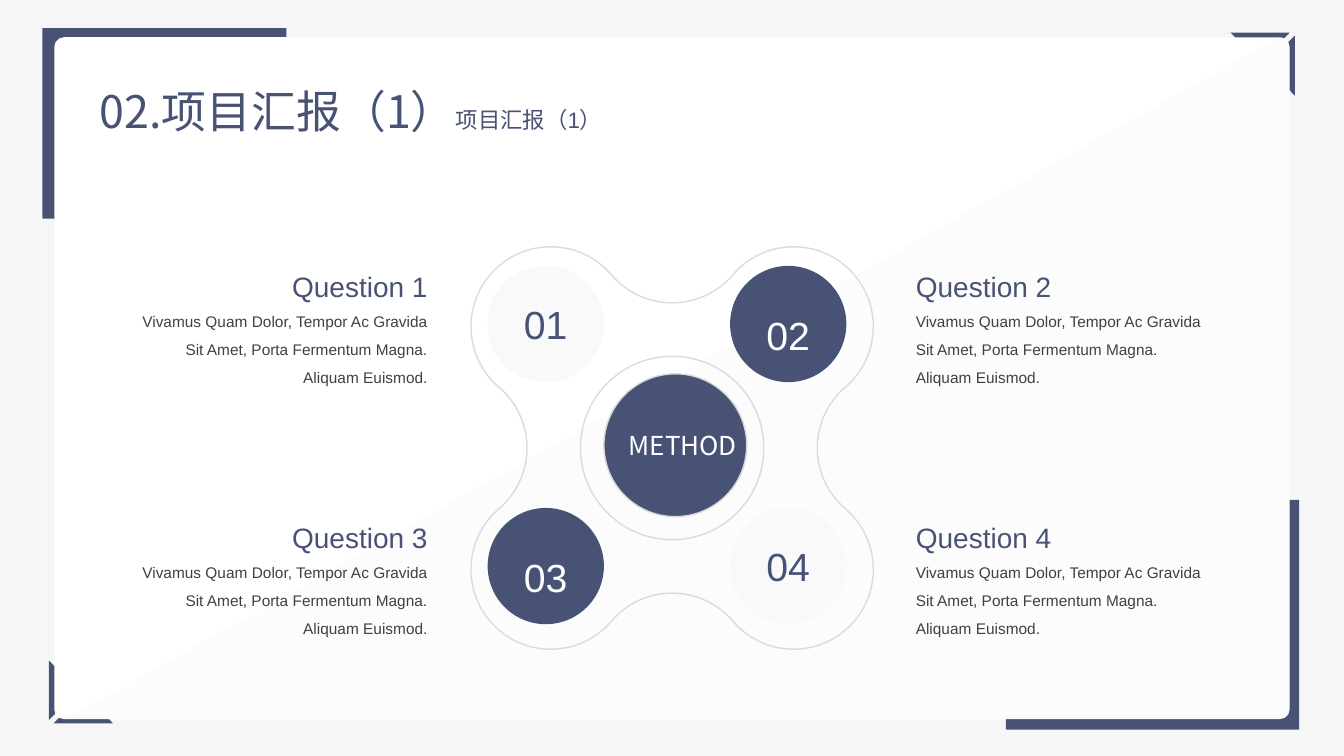
from itertools import pairwise
from math import atan2, cos, degrees, radians, sin, sqrt, tan

from lxml.etree import SubElement
from pptx import Presentation
from pptx.dml.color import RGBColor
from pptx.enum.shapes import MSO_SHAPE
from pptx.enum.text import MSO_ANCHOR, MSO_AUTO_SIZE, PP_ALIGN
from pptx.oxml.ns import qn
from pptx.util import Cm, Pt

NAVY, WHITE, PALE, GREY = "485275", "FFFFFF", "F9F9F9", "404040"
SANS, CJK = "Arial", "Noto Sans CJK SC"
BODY = ("Vivamus Quam Dolor, Tempor Ac Gravida Sit Amet, "
        "Porta Fermentum Magna. Aliquam Euismod.")


def color(value):
    return RGBColor.from_string(value)


def write(paragraph, text, size=11, font=SANS, fill=NAVY, align=None, spacing=None):
    """Add one formatted run to the paragraph."""
    run = paragraph.add_run()
    run.text = text
    run.font.size = Pt(size)
    run.font.name = font
    run.font.color.rgb = color(fill)
    SubElement(run.font._element, qn("a:ea")).set("typeface", CJK)
    if align is not None:
        paragraph.alignment = align
    if spacing:
        paragraph.line_spacing = spacing


def lines(*points):
    """Steps of one point each, the form in which an outline takes lines."""
    return [[point] for point in points]


def arc(center_x, center_y, radius, *angles):
    """Curve steps of three points between the angles, clockwise from the right."""
    steps = []
    for start, end in pairwise(map(radians, angles)):
        handle = 4 / 3 * tan((end - start) / 4)
        unit = [
            (cos(start) - handle * sin(start), sin(start) + handle * cos(start)),
            (cos(end) + handle * sin(end), sin(end) - handle * cos(end)),
            (cos(end), sin(end)),
        ]
        steps.append([(center_x + radius * x, center_y + radius * y) for x, y in unit])
    return steps


def clover(center_x, center_y, offset, radius):
    """Outline of four lobes joined by hollows of the same radius."""
    rise = sqrt(4 * radius ** 2 - offset ** 2)
    joint = degrees(atan2(rise, offset))
    steps = []
    for turn in range(0, 360, 90):
        lobe, hollow = radians(225 + turn), radians(270 + turn)
        reach = offset * sqrt(2)
        steps += arc(center_x + reach * cos(lobe), center_y + reach * sin(lobe), radius,
                     90 + joint + turn, 180 + turn, 270 + turn, 360 - joint + turn)
        reach = offset + rise
        steps += arc(center_x + reach * cos(hollow), center_y + reach * sin(hollow), radius,
                     180 - joint + turn, 90 + turn, joint + turn)
    return [steps[-1][-1:]] + steps


class SlideBuilder:
    def __init__(self, slide, background):
        self.slide = slide
        slide.background.fill.solid()
        slide.background.fill.fore_color.rgb = color(background)

    def style(self, shape, fill=None, line=None, opacity=None):
        shape.shadow.inherit = False
        if fill:
            shape.fill.solid()
            shape.fill.fore_color.rgb = color(fill)
        else:
            shape.fill.background()
        if line:
            shape.line.color.rgb = color(line)
            shape.line.width = Pt(1)
        else:
            shape.line.fill.background()
        if opacity:
            tint = shape._element.spPr.find(".//" + qn("a:srgbClr"))
            SubElement(tint, qn("a:alpha")).set("val", str(opacity * 1000))
        return shape

    def shape(self, kind, left, top, width, height, **style):
        shape = self.slide.shapes.add_shape(kind, Cm(left), Cm(top), Cm(width), Cm(height))
        return self.style(shape, **style)

    def outline(self, *contours, **style):
        """Draw closed contours as one shape; steps of three points become curves."""
        builder = None
        for contour in contours:
            points = [(Cm(x), Cm(y)) for step in contour for x, y in step]
            if builder is None:
                builder = self.slide.shapes.build_freeform(*points[0])
            else:
                builder.move_to(*points[0])
            builder.add_line_segments(points[1:], close=True)
        shape = builder.convert_to_shape()
        segments = iter(list(shape._element.iter(qn("a:lnTo"))))
        for step in (step for contour in contours for step in contour[1:]):
            segment = next(segments)
            if len(step) == 3:
                segment.tag = qn("a:cubicBezTo")
                for extra in (next(segments), next(segments)):
                    segment.append(extra[0])
                    extra.getparent().remove(extra)
        return self.style(shape, **style)

    def text_box(self, left, top, width, height, wrap=True):
        box = self.slide.shapes.add_textbox(Cm(left), Cm(top), Cm(width), Cm(height))
        box.text_frame.word_wrap = wrap
        box.text_frame.auto_size = MSO_AUTO_SIZE.SHAPE_TO_FIT_TEXT
        return box.text_frame

    def number(self, text, left, top, dark):
        circle = self.shape(MSO_SHAPE.OVAL, left, top, 2.93, 2.93, fill=NAVY if dark else PALE)
        frame = circle.text_frame
        frame.vertical_anchor = MSO_ANCHOR.TOP if dark else MSO_ANCHOR.MIDDLE
        write(frame.paragraphs[0], text, size=28, fill=WHITE if dark else NAVY,
              align=PP_ALIGN.CENTER, spacing=1.5 if dark else None)

    def question(self, title, left, top, align):
        frame = self.text_box(left, top, 7.95, 3.66)
        write(frame.paragraphs[0], title, size=20, align=align, spacing=1.5)
        write(frame.add_paragraph(), BODY, fill=GREY, align=align, spacing=1.5)


def draw_frame(builder):
    builder.shape(MSO_SHAPE.RECTANGLE, 1.07, 0.71, 6.15, 4.8, fill=NAVY).rotation = 180
    builder.shape(MSO_SHAPE.RECTANGLE, 25.35, 12.6, 7.39, 5.79, fill=NAVY)
    bracket = [
        [(1.6, 17.02), (1.6, 17.78), (1.23, 18.15), (1.23, 16.64)],
        [(2.85, 18.23), (1.35, 18.23), (1.73, 17.85), (2.49, 17.85)],
    ]
    opposite = [[(33.86 - x, 19.05 - y) for x, y in part] for part in bracket]
    for corner in (bracket, opposite):
        builder.outline(*(lines(*part) for part in corner), fill=NAVY)
    card = builder.shape(MSO_SHAPE.ROUNDED_RECTANGLE, 1.37, 0.94, 31.13, 17.18, fill=WHITE)
    card.adjustments[0] = 0.014
    shade = lines((1.68, 18.11), (32.23, 0.94), (32.26, 0.94))
    shade += arc(32.26, 1.18, 0.24, -90, 0) + lines((32.5, 17.87))
    shade += arc(32.26, 17.87, 0.24, 0, 90)
    builder.outline(shade, fill="F2F2F2", opacity=16)


def draw_method(builder):
    center_x, center_y = 16.94, 11.29
    ring = lines((center_x + 2.31, center_y))
    ring += arc(center_x, center_y, 2.31, 0, 90, 180, 270, 360)
    builder.outline(clover(center_x, center_y, 3.06, 2.01), ring, line="D7DBE7")
    for index in range(4):
        row, column = divmod(index, 2)
        builder.number(f"0{index + 1}", 12.29 + 6.11 * column, 6.7 + 6.1 * row,
                       dark=row != column)
        builder.question(f"Question {index + 1}", (3.08, 22.83)[column], 6.25 + 6.32 * row,
                         (PP_ALIGN.RIGHT, PP_ALIGN.LEFT)[column])
    builder.shape(MSO_SHAPE.OVAL, 15.22, 9.42, 3.6, 3.6, fill=NAVY, line="D9D9D9")
    label = builder.text_box(15.24, 10.69, 3.58, 1.04, wrap=False)
    write(label.paragraphs[0], "METHOD", size=18.6, font=CJK, fill=WHITE, align=PP_ALIGN.RIGHT)


def main():
    presentation = Presentation()
    presentation.slide_width, presentation.slide_height = Cm(33.87), Cm(19.05)
    slide = presentation.slides.add_slide(presentation.slide_layouts[6])
    builder = SlideBuilder(slide, "F6F6F6")
    draw_frame(builder)
    title = builder.text_box(2.26, 1.98, 16.08, 1.63, wrap=False).paragraphs[0]
    write(title, "02.项目汇报（1）", size=32, font=CJK)
    write(title, "项目汇报（1）", size=16)
    draw_method(builder)
    presentation.save("out.pptx")


if __name__ == "__main__":
    main()
